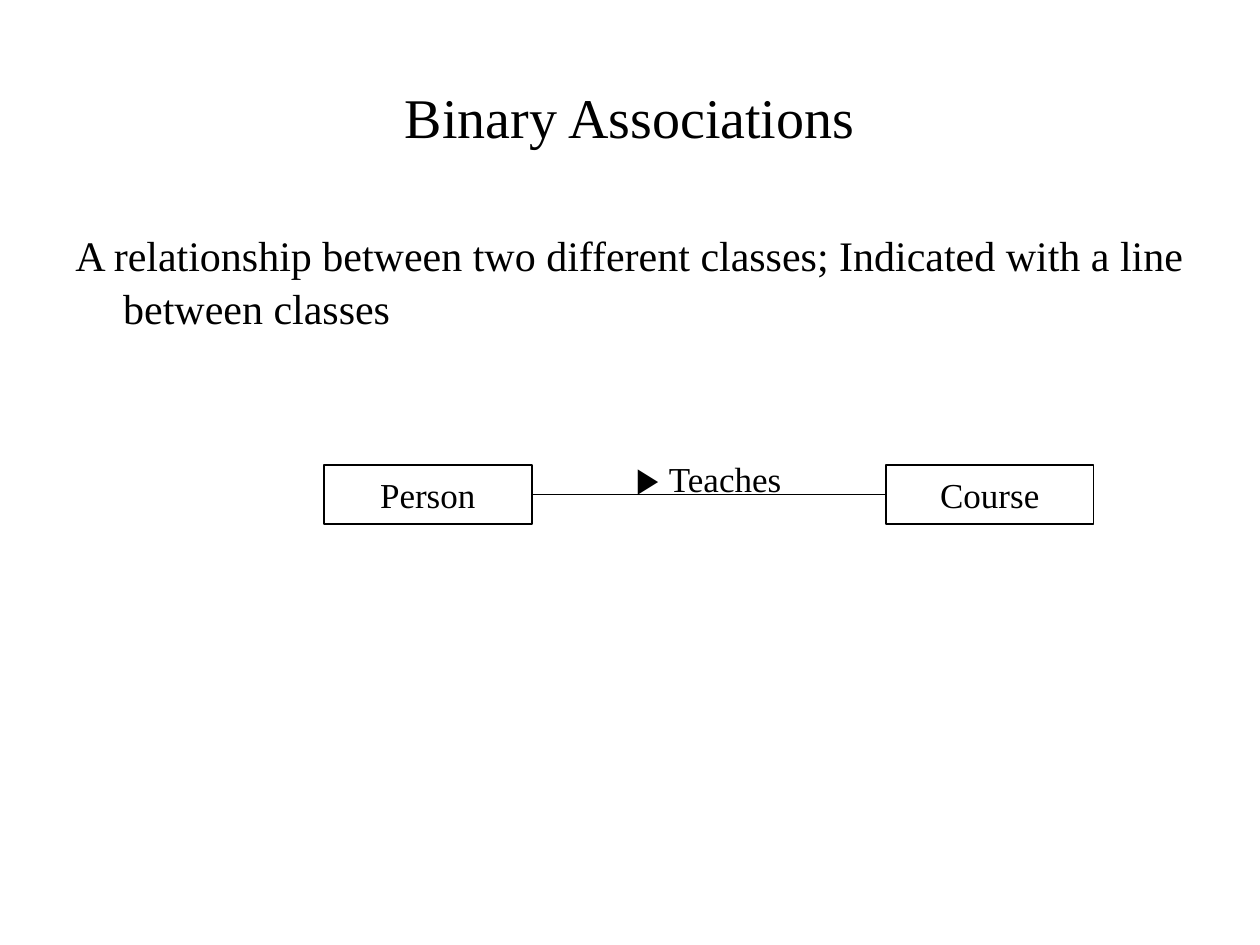
from dataclasses import dataclass

from lxml import etree
from pptx import Presentation
from pptx.dml.color import RGBColor
from pptx.enum.shapes import MSO_CONNECTOR, MSO_SHAPE
from pptx.enum.text import MSO_ANCHOR, PP_ALIGN
from pptx.oxml.ns import qn
from pptx.util import Inches, Pt

STRAIGHT = MSO_CONNECTOR.STRAIGHT
RECTANGLE = MSO_SHAPE.RECTANGLE
MIDDLE, TOP = MSO_ANCHOR.MIDDLE, MSO_ANCHOR.TOP
CENTER, LEFT = PP_ALIGN.CENTER, PP_ALIGN.LEFT
LEFT_SIDE, RIGHT_SIDE = 1, 3


@dataclass(frozen=True)
class Theme:
    ink: RGBColor = RGBColor(0, 0, 0)
    font: str = "Times New Roman"
    symbol_font: str = "Arial"
    title: float = 32
    body: float = 24
    label: float = 20
    line: float = 1


@dataclass(frozen=True)
class Box:
    left: float
    top: float
    width: float
    height: float

    def emu(self):
        return [Inches(v) for v in (self.left, self.top, self.width, self.height)]


@dataclass(frozen=True)
class ClassBox:
    name: str
    left: float


THEME = Theme()
CLASS_TOP, CLASS_WIDTH, CLASS_HEIGHT = 3.69, 1.65, 0.47
PERSON = ClassBox("Person", 2.57)
COURSE = ClassBox("Course", 7.03)


def write(sp, runs, size: float, align=CENTER, anchor=MIDDLE, wrap=True):
    """Fill a shape with one paragraph of (text, font name) runs."""
    tf = sp.text_frame
    for name, value in {"word_wrap": wrap, "vertical_anchor": anchor}.items():
        setattr(tf, name, value)
    p = tf.paragraphs[0]
    p.alignment = align
    for text, font in runs:
        r = p.add_run()
        r.text = text
        for name, value in {"name": font, "size": Pt(size)}.items():
            setattr(r.font, name, value)
        r.font.color.rgb = THEME.ink
    return p


def add_text(slide, box: Box, runs, size: float, **layout):
    return write(slide.shapes.add_textbox(*box.emu()), runs, size, **layout)


def add_class(slide, item: ClassBox):
    box = Box(item.left, CLASS_TOP, CLASS_WIDTH, CLASS_HEIGHT)
    sp = slide.shapes.add_shape(RECTANGLE, *box.emu())
    sp.shadow.inherit = False
    sp.fill.background()
    sp.line.color.rgb = THEME.ink
    sp.line.width = Pt(THEME.line)
    write(sp, [(item.name, THEME.font)], THEME.label, wrap=False)
    return sp


def add_association(slide, source, target):
    line = slide.shapes.add_connector(STRAIGHT, 0, 0, 0, 0)
    line.begin_connect(source, RIGHT_SIDE)
    line.end_connect(target, LEFT_SIDE)
    line.line.color.rgb = THEME.ink
    line.line.width = Pt(THEME.line)
    etree.SubElement(line._element.spPr, qn("a:effectLst"))


def main():
    prs = Presentation()
    prs.slide_width, prs.slide_height = Inches(10), Inches(7.5)
    slide = prs.slides.add_slide(prs.slide_layouts[6])

    add_text(slide, Box(0.5, 0.3, 9, 1.25),
             [("Binary Associations", THEME.font)], THEME.title)

    p = add_text(slide, Box(0.5, 1.75, 9, 4.95),
                 [("A relationship between two different classes; "
                   "Indicated with a line between classes", THEME.font)],
                 THEME.body, align=LEFT, anchor=TOP)
    p.line_spacing = 1.05
    pPr = p._p.get_or_add_pPr()
    pPr.set("marL", str(Inches(0.38)))
    pPr.set("indent", str(Inches(-0.38)))

    person, course = [add_class(slide, item) for item in (PERSON, COURSE)]
    add_association(slide, person, course)
    add_text(slide, Box(4.91, 3.58, 1.43, 0.43),
             [("▶ ", THEME.symbol_font), ("Teaches", THEME.font)],
             THEME.label, anchor=TOP, wrap=False)

    prs.save("out.pptx")


if __name__ == "__main__":
    main()
